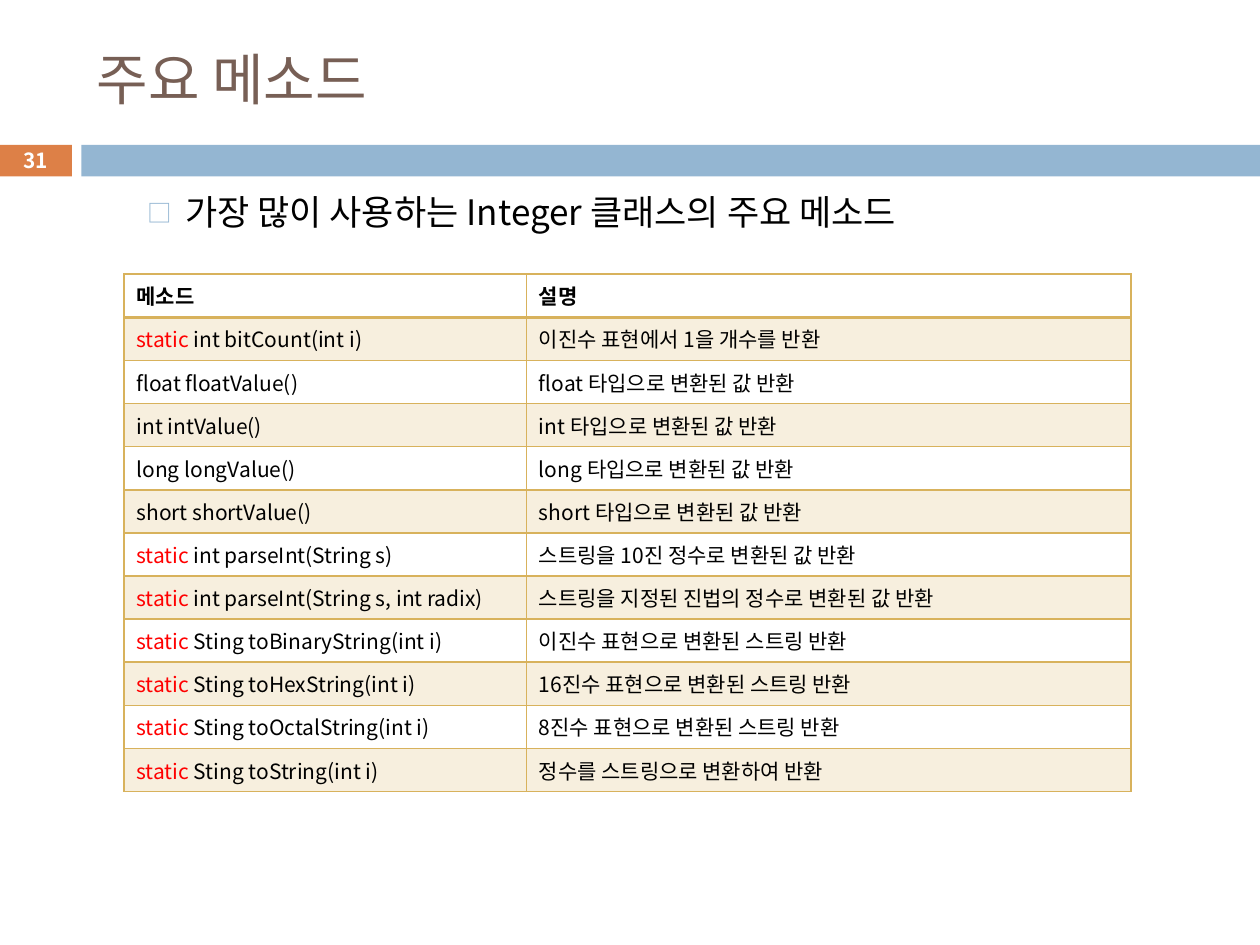
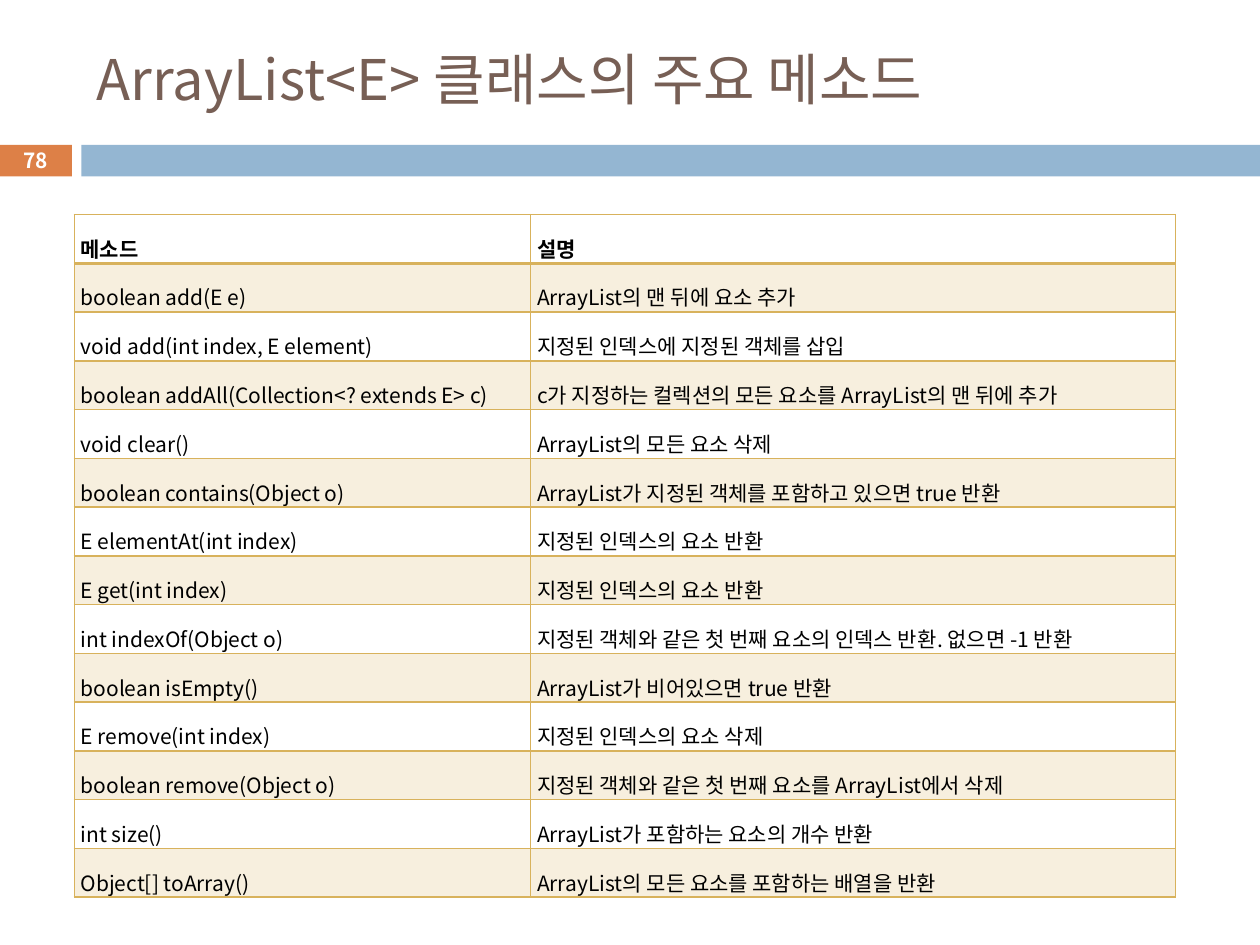
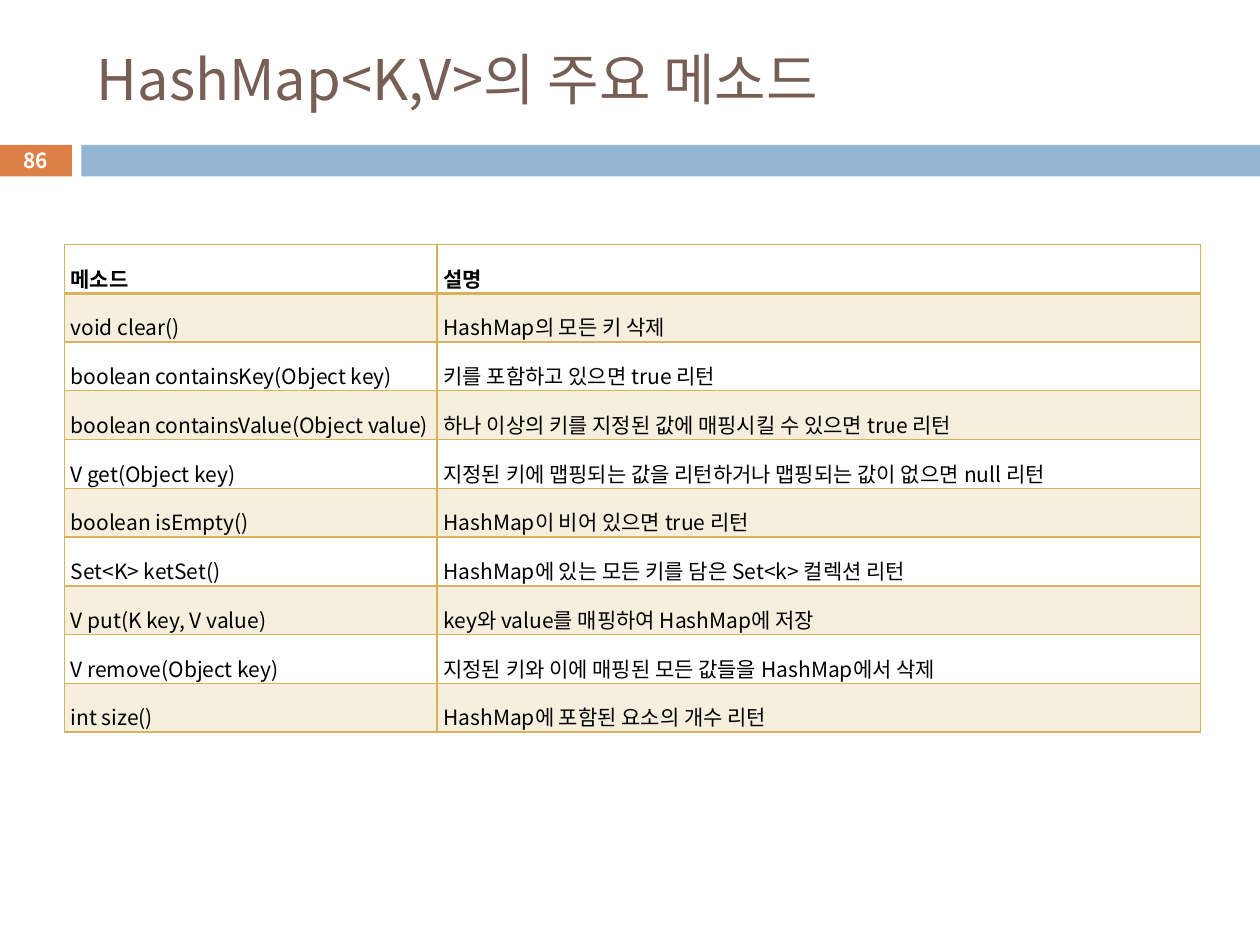
"""Build three slides listing the main methods of Java classes."""
import pptx
import pptx.dml.color
import pptx.enum.shapes
import pptx.enum.text
import pptx.oxml
import pptx.oxml.ns
import pptx.util

Pt = pptx.util.Pt
RGBColor = pptx.dml.color.RGBColor
ALIGN = pptx.enum.text.PP_ALIGN
ANCHOR = pptx.enum.text.MSO_ANCHOR
qn = pptx.oxml.ns.qn

FONT = "Noto Sans CJK KR"
BLACK = RGBColor(0x00, 0x00, 0x00)
WHITE = RGBColor(0xFF, 0xFF, 0xFF)
RED = RGBColor(0xFF, 0x00, 0x00)
BROWN = RGBColor(0x77, 0x5F, 0x55)
ORANGE = RGBColor(0xDD, 0x80, 0x47)
BLUE = RGBColor(0x94, 0xB6, 0xD2)
GOLD = RGBColor(0xD8, 0xB2, 0x5C)

HEADER = ("메소드", "설명")
KEYWORD = "static"
ROW_HEIGHT = 24.65
COMPACT_ROW_HEIGHT = 27.88

INTEGER_METHODS = [
    ("static int bitCount(int i)", "이진수 표현에서 1을 개수를 반환"),
    ("float floatValue()", "float 타입으로 변환된 값 반환"),
    ("int intValue()", "int 타입으로 변환된 값 반환"),
    ("long longValue()", "long 타입으로 변환된 값 반환"),
    ("short shortValue()", "short 타입으로 변환된 값 반환"),
    ("static int parseInt(String s)", "스트링을 10진 정수로 변환된 값 반환"),
    ("static int parseInt(String s, int radix)", "스트링을 지정된 진법의 정수로 변환된 값 반환"),
    ("static Sting toBinaryString(int i)", "이진수 표현으로 변환된 스트링 반환"),
    ("static Sting toHexString(int i)", "16진수 표현으로 변환된 스트링 반환"),
    ("static Sting toOctalString(int i)", "8진수 표현으로 변환된 스트링 반환"),
    ("static Sting toString(int i)", "정수를 스트링으로 변환하여 반환"),
]

ARRAY_LIST_METHODS = [
    ("boolean add(E e)", "ArrayList의 맨 뒤에 요소 추가"),
    ("void add(int index, E element)", "지정된 인덱스에 지정된 객체를 삽입"),
    ("boolean addAll(Collection<? extends E> c)", "c가 지정하는 컬렉션의 모든 요소를 ArrayList의 맨 뒤에 추가"),
    ("void clear()", "ArrayList의 모든 요소 삭제"),
    ("boolean contains(Object o)", "ArrayList가 지정된 객체를 포함하고 있으면 true 반환"),
    ("E elementAt(int index)", "지정된 인덱스의 요소 반환"),
    ("E get(int index)", "지정된 인덱스의 요소 반환"),
    ("int indexOf(Object o)", "지정된 객체와 같은 첫 번째 요소의 인덱스 반환. 없으면 -1 반환"),
    ("boolean isEmpty()", "ArrayList가 비어있으면 true 반환"),
    ("E remove(int index)", "지정된 인덱스의 요소 삭제"),
    ("boolean remove(Object o)", "지정된 객체와 같은 첫 번째 요소를 ArrayList에서 삭제"),
    ("int size()", "ArrayList가 포함하는 요소의 개수 반환"),
    ("Object[] toArray()", "ArrayList의 모든 요소를 포함하는 배열을 반환"),
]

HASH_MAP_METHODS = [
    ("void clear()", "HashMap의 모든 키 삭제"),
    ("boolean containsKey(Object key)", "키를 포함하고 있으면 true 리턴"),
    ("boolean containsValue(Object value)", "하나 이상의 키를 지정된 값에 매핑시킬 수 있으면 true 리턴"),
    ("V get(Object key)", "지정된 키에 맵핑되는 값을 리턴하거나 맵핑되는 값이 없으면 null 리턴"),
    ("boolean isEmpty()", "HashMap이 비어 있으면 true 리턴"),
    ("Set<K> ketSet()", "HashMap에 있는 모든 키를 담은 Set<k> 컬렉션 리턴"),
    ("V put(K key, V value)", "key와 value를 매핑하여 HashMap에 저장"),
    ("V remove(Object key)", "지정된 키와 이에 매핑된 모든 값들을 HashMap에서 삭제"),
    ("int size()", "HashMap에 포함된 요소의 개수 리턴"),
]


def parse_element(tag, attributes, content=""):
    """Return a new drawing element with the given attributes and content."""
    namespace = pptx.oxml.ns.nsdecls("a")
    return pptx.oxml.parse_xml(f"<a:{tag} {namespace} {attributes}>{content}</a:{tag}>")


def write_text(frame, text, size=12, color=BLACK, bold=False, align=ALIGN.LEFT,
               line_spacing=None, bullet=None):
    """Write one paragraph, with a leading keyword in red."""
    paragraph = frame.paragraphs[0]
    if bullet:
        add_bullet(paragraph, bullet)
    paragraph.alignment = align
    if line_spacing:
        paragraph.line_spacing = line_spacing
    parts = [(text, color)]
    if text.startswith(KEYWORD):
        parts = [(KEYWORD, RED), (text.removeprefix(KEYWORD), color)]
    for part, part_color in parts:
        run = paragraph.add_run()
        run.text = part
        run.font.size = Pt(size)
        run.font.bold = bold
        run.font.name = FONT
        run.font.color.rgb = part_color


def add_bullet(paragraph, character):
    """Give the paragraph a hanging bullet."""
    properties = paragraph._p.get_or_add_pPr()
    properties.set("marL", str(Pt(50.4)))
    properties.set("indent", str(-Pt(21.6)))
    properties.append(parse_element("buClr", "", f'<a:srgbClr val="{BLUE}"/>'))
    properties.append(parse_element("buSzPct", 'val="70000"'))
    properties.append(parse_element("buFont", f'typeface="{FONT}"'))
    properties.append(parse_element("buChar", f'char="{character}"'))


def add_text_box(slide, text, left, top, width, height, anchor=ANCHOR.TOP, **text_format):
    """Add a wrapping text box."""
    box = slide.shapes.add_textbox(Pt(left), Pt(top), Pt(width), Pt(height))
    box.text_frame.word_wrap = True
    box.text_frame.vertical_anchor = anchor
    write_text(box.text_frame, text, **text_format)


def add_band(slide, left, width, color):
    """Add a plain band below the title."""
    band = slide.shapes.add_shape(pptx.enum.shapes.MSO_SHAPE.RECTANGLE,
                                  Pt(left), Pt(82.8), Pt(width), Pt(18))
    band.shadow.inherit = False
    band.fill.solid()
    band.fill.fore_color.rgb = color
    band.line.fill.background()


def add_titled_slide(presentation, title, number):
    """Add a slide with its title, bands and number."""
    slide = presentation.slides.add_slide(presentation.slide_layouts[6])
    add_band(slide, -0.72, 41.76, ORANGE)
    add_band(slide, 46.5, 673.5, BLUE)
    add_text_box(slide, title, 48.24, 18, 642.24, 53.28, anchor=ANCHOR.MIDDLE,
                 size=32, color=BROWN)
    add_text_box(slide, str(number), -0.72, 81.8, 41.76, 19.44, anchor=ANCHOR.MIDDLE,
                 size=11.9, color=WHITE, bold=True, align=ALIGN.CENTER)
    return slide


def style_cell(cell, row_index):
    """Draw the cell borders and tint odd rows."""
    properties = cell._tc.get_or_add_tcPr()
    widths = {"L": 1, "R": 1, "T": 2 if row_index == 1 else 1, "B": 2 if row_index == 0 else 1}
    for side, width in widths.items():
        properties.append(parse_element(
            f"ln{side}", f'w="{Pt(width)}"',
            f'<a:solidFill><a:srgbClr val="{GOLD}"/></a:solidFill>'))
    if row_index % 2:
        cell.fill.solid()
        cell.fill.fore_color.rgb = GOLD
        color = properties.find(f"{qn('a:solidFill')}/{qn('a:srgbClr')}")
        color.append(parse_element("alpha", 'val="20000"'))
    else:
        cell.fill.background()


def add_method_table(slide, methods, left, top, column_widths, compact=False):
    """Add a table of methods; a compact one has small margins and open lines."""
    rows = [HEADER, *methods]
    height = len(rows) * (COMPACT_ROW_HEIGHT if compact else ROW_HEIGHT)
    table = slide.shapes.add_table(len(rows), len(HEADER), Pt(left), Pt(top),
                                   Pt(sum(column_widths)), Pt(height)).table
    table.horz_banding = False
    for column, width in zip(table.columns, column_widths):
        column.width = Pt(width)
    text_format = {"align": ALIGN.JUSTIFY, "line_spacing": 1.6} if compact else {}
    for row_index, row in enumerate(rows):
        for column_index, text in enumerate(row):
            cell = table.cell(row_index, column_index)
            if compact:
                cell.margin_left = cell.margin_right = Pt(3.6)
                cell.margin_top = cell.margin_bottom = 0
                cell.vertical_anchor = ANCHOR.MIDDLE
            style_cell(cell, row_index)
            write_text(cell.text_frame, text, bold=row_index == 0, **text_format)


def main():
    """Build and save the presentation."""
    presentation = pptx.Presentation()
    presentation.slide_width = Pt(720)
    presentation.slide_height = Pt(540)

    slide = add_titled_slide(presentation, "주요 메소드", 31)
    add_text_box(slide, "가장 많이 사용하는 Integer 클래스의 주요 메소드",
                 48.24, 105.4, 642.24, 396.72, size=20, bullet="□")
    add_method_table(slide, INTEGER_METHODS, 70.8, 156.7, (230, 345.6))

    slide = add_titled_slide(presentation, "ArrayList<E> 클래스의 주요 메소드", 78)
    add_method_table(slide, ARRAY_LIST_METHODS, 42.5, 122.6, (260.8, 368.5), compact=True)

    slide = add_titled_slide(presentation, "HashMap<K,V>의 주요 메소드", 86)
    add_method_table(slide, HASH_MAP_METHODS, 36.8, 139.7, (213, 436.2), compact=True)

    presentation.save("out.pptx")


if __name__ == "__main__":
    main()
